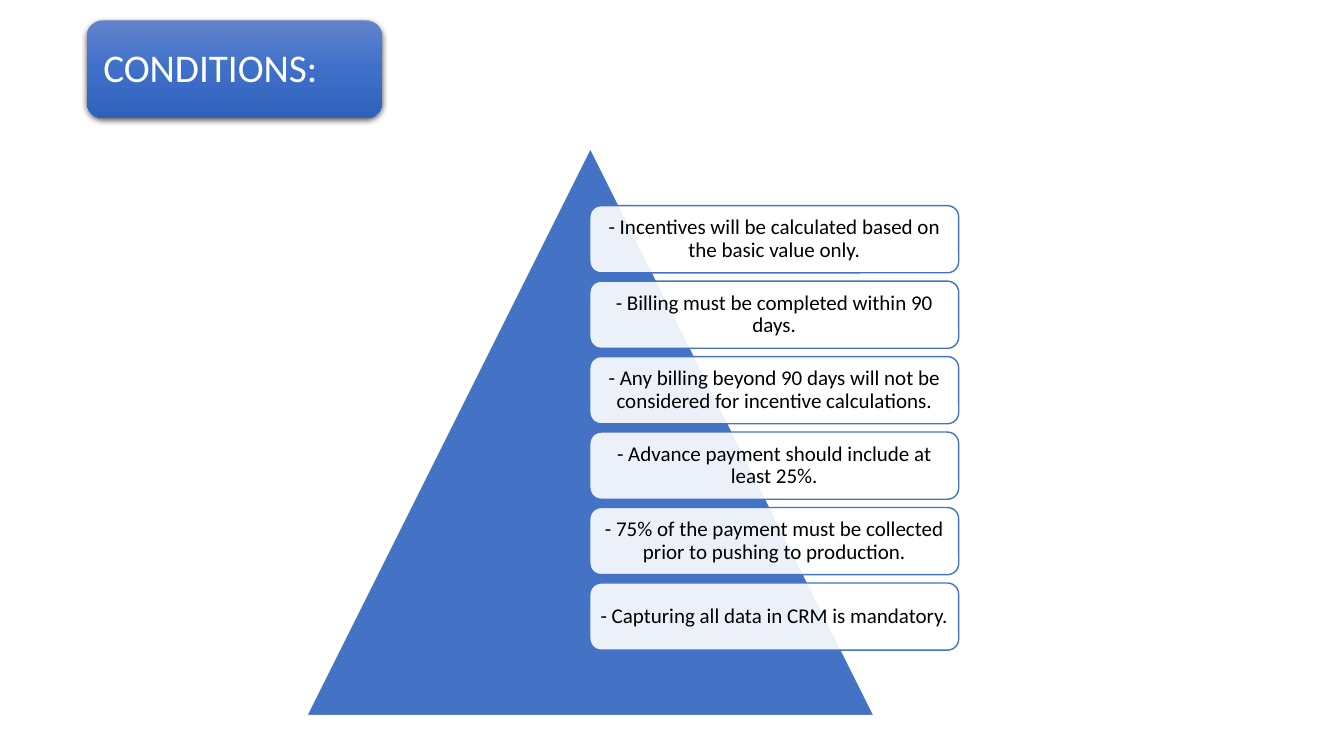
from copy import deepcopy
from dataclasses import dataclass

from lxml.etree import SubElement
from pptx import Presentation
from pptx.dml.color import RGBColor as RGB
from pptx.enum.shapes import MSO_SHAPE as SHAPE
from pptx.enum.text import MSO_ANCHOR as ANCHOR, PP_ALIGN as ALIGN
from pptx.oxml.ns import qn
from pptx.shapes.autoshape import Shape
from pptx.slide import Slide
from pptx.util import Pt

COLORS = {
    "white": "FFFFFF",
    "black": "000000",
    "blue": "4472C4",
    "title_top": "6183CB",
    "title_middle": "3E70CA",
    "title_bottom": "3062BB",
}

CARD_LEFT, CARD_TOP = 421.3, 146.9
CARD_WIDTH, CARD_HEIGHT = 263.5, 48
CARD_PITCH = 53.9

CONDITIONS = [
    "- Incentives will be calculated based on the basic value only.",
    "- Billing must be completed within 90 days.",
    "- Any billing beyond 90 days will not be considered for incentive calculations.",
    "- Advance payment should include at least 25%.",
    "- 75% of the payment must be collected prior to pushing to production.",
    "- Capturing all data in CRM is mandatory.",
]


@dataclass
class Box:
    left: float
    top: float
    width: float
    height: float


@dataclass
class Label:
    text: str
    size: float
    color: str
    align: ALIGN
    inset: float


def rgb(name: str) -> RGB:
    return RGB.from_string(COLORS[name])


def add_shape(s: Slide, kind: SHAPE, box: Box) -> Shape:
    sp = s.shapes.add_shape(
        kind, Pt(box.left), Pt(box.top), Pt(box.width), Pt(box.height)
    )
    sp.shadow.inherit = False
    return sp


def paint(sp: Shape, fill: str, line: str) -> None:
    sp.fill.solid()
    sp.fill.fore_color.rgb = rgb(fill)
    sp.line.color.rgb = rgb(line)
    sp.line.width = Pt(1)


def set_opacity(sp: Shape, percent: int) -> None:
    clr = sp._element.spPr.find(qn("a:solidFill")).find(qn("a:srgbClr"))
    SubElement(clr, qn("a:alpha"), val=str(percent * 1000))


def paint_gradient(sp: Shape, names: list[str]) -> None:
    sp.fill.gradient()
    sp.fill.gradient_angle = 270
    stops = sp._element.spPr.find(qn("a:gradFill")).find(qn("a:gsLst"))
    while len(stops) < len(names):
        stops.append(deepcopy(stops[0]))
    for i, (stop, name) in enumerate(zip(sp.fill.gradient_stops, names)):
        stop.position = i / (len(names) - 1)
        stop.color.rgb = rgb(name)
    sp.line.fill.background()


def add_shadow(sp: Shape) -> None:
    effects = sp._element.spPr.find(qn("a:effectLst"))
    shadow = SubElement(
        effects, qn("a:outerShdw"), blurRad=str(Pt(4.5)), dist=str(Pt(1.5)),
        dir="5400000", algn="ctr", rotWithShape="0",
    )
    clr = SubElement(shadow, qn("a:srgbClr"), val=COLORS["black"])
    SubElement(clr, qn("a:alpha"), val="63000")


def write(sp: Shape, label: Label) -> None:
    tf = sp.text_frame
    frame_format = {"word_wrap": True, "vertical_anchor": ANCHOR.MIDDLE}
    for side in ("left", "top", "right", "bottom"):
        frame_format[f"margin_{side}"] = Pt(label.inset)
    p = tf.paragraphs[0]
    r = p.add_run()
    r.text = label.text
    formats = [
        (tf, frame_format),
        (p, {"alignment": label.align, "line_spacing": 0.9}),
        (r.font, {"name": "Calibri", "size": Pt(label.size)}),
    ]
    for target, values in formats:
        for key, value in values.items():
            setattr(target, key, value)
    r.font.color.rgb = rgb(label.color)


def main() -> None:
    prs = Presentation()
    prs.slide_width, prs.slide_height = Pt(960), Pt(540)
    s = prs.slides.add_slide(prs.slide_layouts[6])

    title = add_shape(s, SHAPE.ROUNDED_RECTANGLE, Box(62, 14.5, 211, 70))
    paint_gradient(title, ["title_top", "title_middle", "title_bottom"])
    add_shadow(title)
    write(title, Label("CONDITIONS:", 28, "white", ALIGN.LEFT, 8.4))

    pyramid = add_shape(s, SHAPE.ISOSCELES_TRIANGLE, Box(219, 105.8, 405.4, 405.4))
    paint(pyramid, "blue", "white")

    for i, text in enumerate(CONDITIONS):
        box = Box(CARD_LEFT, CARD_TOP + i * CARD_PITCH, CARD_WIDTH, CARD_HEIGHT)
        card = add_shape(s, SHAPE.ROUNDED_RECTANGLE, box)
        paint(card, "white", "blue")
        set_opacity(card, 90)
        write(card, Label(text, 15, "black", ALIGN.CENTER, 4.5))

    prs.save("out.pptx")


if __name__ == "__main__":
    main()
